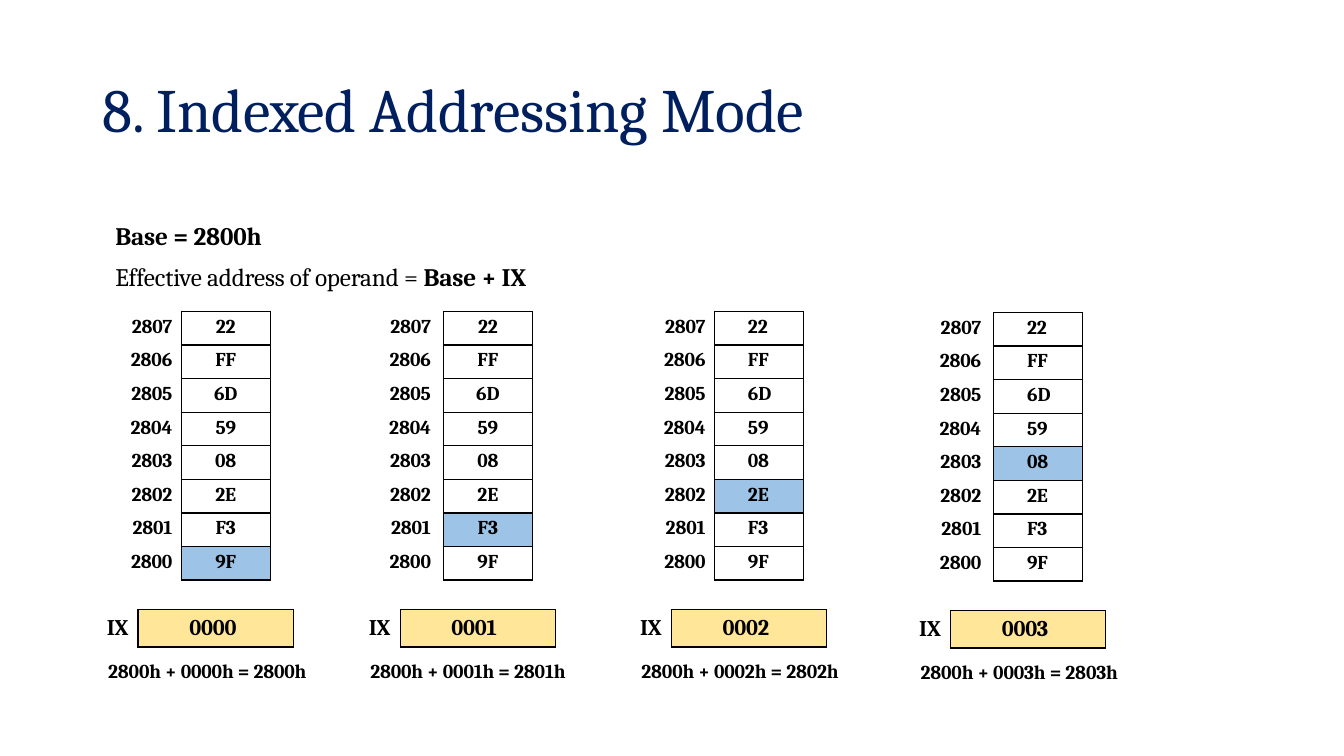
import dataclasses
import typing

import lxml.etree
import pptx
import pptx.dml.color
import pptx.enum.text
import pptx.oxml.ns
import pptx.slide
import pptx.table
import pptx.text.text
import pptx.util

Pt = pptx.util.Pt
Align = pptx.enum.text.PP_ALIGN

FONT = "Cambria"
BLACK = "000000"
NAVY = "001F5F"
BLUE = "9DC3E6"
YELLOW = "FFE699"
NO_STYLE = "{2D5ABB26-0587-4C30-8999-92F81FD0307C}"
BASE = 2800
MEMORY = ["9F", "F3", "2E", "08", "59", "6D", "FF", "22"]


@dataclasses.dataclass
class TextRun:
    text: str
    size: float
    bold: bool = True
    color: str = BLACK
    spacing: float = -0.1


@dataclasses.dataclass
class Line:
    runs: list[TextRun]
    space_before: float = 0


@dataclasses.dataclass
class CellStyle:
    align: Align = Align.LEFT
    left: float = 0
    right: float = 0
    top: float = 3
    fill: typing.Optional[str] = None
    edges: str = "LRTB"


@dataclasses.dataclass
class IndexExample:
    index: int
    left: float
    top: float
    label_gap: float
    value_align: Align = Align.CENTER
    value_indent: float = 0


EXAMPLES = [
    IndexExample(0, 79.2, 222.5, 6.5),
    IndexExample(1, 266.4, 222.5, 9),
    IndexExample(2, 460.1, 222.5, 6.5, Align.LEFT, 23.8),
    IndexExample(3, 659.5, 223.2, 9, Align.LEFT, 23.8),
]


def rgb(color: str) -> pptx.dml.color.RGBColor:
    return pptx.dml.color.RGBColor.from_string(color)


def add_run(paragraph: pptx.text.text._Paragraph, text_run: TextRun) -> None:
    run = paragraph.add_run()
    run.text = text_run.text
    run.font.name = FONT
    run.font.size = Pt(text_run.size)
    run.font.bold = text_run.bold
    run.font.color.rgb = rgb(text_run.color)
    run._r.get_or_add_rPr().set("spc", str(round(text_run.spacing * 100)))


def add_text(slide: pptx.slide.Slide, left: float, top: float, width: float,
             height: float, lines: list[Line], inset_top: float = 0) -> None:
    shape = slide.shapes.add_textbox(Pt(left), Pt(top), Pt(width), Pt(height))
    frame = shape.text_frame
    frame.word_wrap = True
    frame.auto_size = pptx.enum.text.MSO_AUTO_SIZE.SHAPE_TO_FIT_TEXT
    frame.margin_left = Pt(1)
    frame.margin_top = Pt(inset_top)
    frame.margin_right = frame.margin_bottom = Pt(0)
    for position, line in enumerate(lines):
        paragraph = frame.add_paragraph() if position else frame.paragraphs[0]
        paragraph.space_before = Pt(line.space_before)
        for text_run in line.runs:
            add_run(paragraph, text_run)


def add_grid(slide: pptx.slide.Slide, left: float, top: float, widths: list[float],
             row_height: float, row_count: int) -> pptx.table.Table:
    frame = slide.shapes.add_table(row_count, len(widths), Pt(left), Pt(top),
                                   Pt(sum(widths)), Pt(row_height * row_count))
    table = frame.table
    table.first_row = table.horz_banding = False
    table._tbl.tblPr.find(pptx.oxml.ns.qn("a:tableStyleId")).text = NO_STYLE
    for column, width in zip(table.columns, widths):
        column.width = Pt(width)
    for row in table.rows:
        row.height = Pt(row_height)
    return table


def fill_cell(cell: pptx.table._Cell, text_run: TextRun, style: CellStyle) -> None:
    cell.margin_left, cell.margin_right = Pt(style.left), Pt(style.right)
    cell.margin_top, cell.margin_bottom = Pt(style.top), Pt(0)
    paragraph = cell.text_frame.paragraphs[0]
    paragraph.alignment = style.align
    add_run(paragraph, text_run)
    qn = pptx.oxml.ns.qn
    properties = cell._tc.get_or_add_tcPr()
    for edge in style.edges:
        border = lxml.etree.SubElement(properties, qn(f"a:ln{edge}"), w=str(Pt(1)))
        solid = lxml.etree.SubElement(border, qn("a:solidFill"))
        lxml.etree.SubElement(solid, qn("a:srgbClr"), val=BLACK)
    if style.fill:
        cell.fill.solid()
        cell.fill.fore_color.rgb = rgb(style.fill)
    else:
        cell.fill.background()


def add_example(slide: pptx.slide.Slide, example: IndexExample) -> None:
    memory = add_grid(slide, example.left, example.top, [50.4, 63.4], 24, len(MEMORY))
    label_style = CellStyle(Align.RIGHT, right=example.label_gap, edges="R")
    for offset, value in enumerate(MEMORY):
        row = len(MEMORY) - 1 - offset
        fill_cell(memory.cell(row, 0), TextRun(str(BASE + offset), 14), label_style)
        fill_cell(memory.cell(row, 1), TextRun(value, 14),
                  CellStyle(example.value_align, left=example.value_indent,
                            fill=BLUE if offset == example.index else None))

    register = add_grid(slide, example.left - 13, example.top + 213.1, [32.4, 110.9], 26.6, 1)
    fill_cell(register.cell(0, 0), TextRun("IX", 16),
              CellStyle(left=10.1, top=3.6, edges="R"))
    fill_cell(register.cell(0, 1), TextRun(f"{example.index:04}", 16),
              CellStyle(left=36.7, top=3.6, fill=YELLOW))

    equation = f"{BASE}h + {example.index:04}h = {BASE + example.index}h"
    add_text(slide, example.left - 2.9, example.top + 248, 155.5, 17.3,
             [Line([TextRun(equation, 14)])])


def main() -> None:
    presentation = pptx.Presentation()
    presentation.slide_width, presentation.slide_height = Pt(960), Pt(540)
    slide = presentation.slides.add_slide(presentation.slide_layouts[6])
    add_text(slide, 72, 49.7, 531.4, 54.7, [Line([
        TextRun("8. ", 44, False, NAVY, 0),
        TextRun("Indexed ", 44, False, NAVY, -0.2),
        TextRun("Addressing Mode", 44, False, NAVY),
    ])], inset_top=1)
    add_text(slide, 81.4, 149, 312.5, 60.5, [
        Line([TextRun("Base = 2800h", 18)]),
        Line([TextRun("Effective address of operand = ", 18, False),
              TextRun("Base + IX", 18)], 7.5),
    ], inset_top=8.6)
    for example in EXAMPLES:
        add_example(slide, example)
    presentation.save("out.pptx")


if __name__ == "__main__":
    main()
